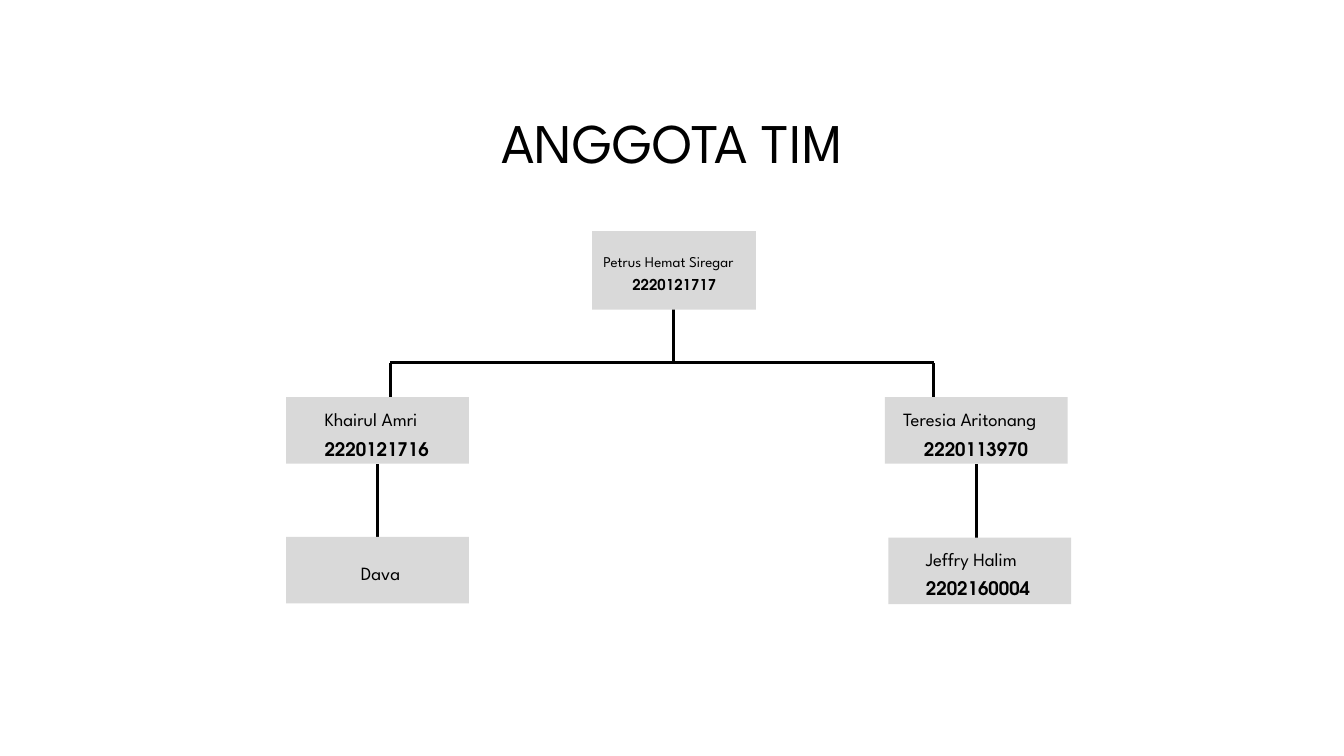
from lxml import etree
from pptx import Presentation
from pptx.dml.color import RGBColor
from pptx.enum.shapes import MSO_CONNECTOR, MSO_SHAPE
from pptx.enum.text import MSO_ANCHOR, MSO_AUTO_SIZE, PP_ALIGN
from pptx.oxml.ns import qn
from pptx.util import Pt

PX = 4572
RECTANGLE = MSO_SHAPE.RECTANGLE
STRAIGHT = MSO_CONNECTOR.STRAIGHT
TOP, MIDDLE = MSO_ANCHOR.TOP, MSO_ANCHOR.MIDDLE
LEFT, CENTER = PP_ALIGN.LEFT, PP_ALIGN.CENTER
NO_AUTOSIZE = MSO_AUTO_SIZE.NONE
NAME_FONT, NUMBER_FONT = "League Spartan", "TeX Gyre Adventor"
COLORS = {"text": "000000", "line": "000000", "card": "D9D9D9", "background": "FFFFFF"}
PADDING = 28
CARD_WIDTH, CARD_HEIGHT = 272, 99
BRANCH_Y = 540

MEMBERS = [
    dict(box=(881, 344, 244, 117), label_box=(-11, 11, 336, 94),
         lines=["Petrus Hemat Siregar", "2220121717"], size=8, number_indent=43),
    dict(box=(426, 591, CARD_WIDTH, CARD_HEIGHT), label_box=(29, 1, 272, 98),
         lines=["Khairul Amri", "2220121716"]),
    dict(box=(1317, 591, CARD_WIDTH, CARD_HEIGHT), label_box=(-1, 3, 294, 94),
         lines=["Teresia Aritonang", "2220113970"], number_indent=31),
    dict(box=(426, 799, CARD_WIDTH, CARD_HEIGHT), label_box=(83, 14, 192, 96),
         lines=["Dava"], extra_bottom=26),
    dict(box=(1322, 800, CARD_WIDTH, CARD_HEIGHT), label_box=(28, 6, 252, 86),
         lines=["Jeffry Halim", "2202160004"]),
]
CONNECTORS = [
    (581, 622, 581, BRANCH_Y),
    (1389, 622, 1389, BRANCH_Y),
    (562, 801, 562, 690),
    (1453, 801, 1453, 690),
    (1390, BRANCH_Y, 580, BRANCH_Y),
    (1002, BRANCH_Y, 1002, 460),
]


def color(name):
    return RGBColor.from_string(COLORS[name])


def scaled(lengths):
    return [length * PX for length in lengths]


def format_frame(text_frame, anchor, padding, extra_bottom=0):
    text_frame.word_wrap = True
    text_frame.auto_size = NO_AUTOSIZE
    text_frame.vertical_anchor = anchor
    text_frame.margin_left = text_frame.margin_right = padding * PX
    text_frame.margin_top = padding * PX
    text_frame.margin_bottom = (padding + extra_bottom) * PX


def format_paragraph(paragraph, font_name, size, spacing, alignment=LEFT, bold=False):
    paragraph.line_spacing = spacing
    paragraph.alignment = alignment
    for run in paragraph.runs:
        run.font.name = font_name
        run.font.size = Pt(size)
        run.font.bold = bold
        run.font.color.rgb = color("text")


def place_title(slide, box, text):
    title = slide.shapes.title
    title.left, title.top, title.width, title.height = scaled(box)
    title.text_frame.text = text
    format_frame(title.text_frame, TOP, 0)
    format_paragraph(title.text_frame.paragraphs[0], NAME_FONT, 30, 1.4, CENTER)


def add_member(slide, box, label_box, lines, size=10, number_indent=0, extra_bottom=0):
    card = slide.shapes.add_shape(RECTANGLE, *scaled(box))
    card.shadow.inherit = False
    card.fill.solid()
    card.fill.fore_color.rgb = color("card")
    card.line.fill.background()

    left, top, width, height = label_box
    label = slide.shapes.add_textbox(*scaled((box[0] + left, box[1] + top, width, height)))
    text_frame = label.text_frame
    text_frame.text = "\n".join(lines)
    format_frame(text_frame, MIDDLE, PADDING, extra_bottom)
    name, *numbers = text_frame.paragraphs
    format_paragraph(name, NAME_FONT, size, 1.3)
    for number in numbers:
        format_paragraph(number, NUMBER_FONT, size, 1.3, bold=True)
        number._p.get_or_add_pPr().set("marL", str(number_indent * PX))


def add_line(slide, ends):
    connector = slide.shapes.add_connector(STRAIGHT, *scaled(ends))
    connector.line.color.rgb = color("line")
    connector.line.width = Pt(1.5)
    etree.SubElement(connector._element.spPr, qn("a:effectLst"))


def build_team_slide(presentation):
    slide = presentation.slides.add_slide(presentation.slide_layouts[5])
    slide.background.fill.solid()
    slide.background.fill.fore_color.rgb = color("background")
    place_title(slide, (364, 120, 1273, 142), "ANGGOTA TIM")
    for ends in CONNECTORS:
        add_line(slide, ends)
    for member in MEMBERS:
        add_member(slide, **member)


def main():
    presentation = Presentation()
    presentation.slide_width, presentation.slide_height = scaled((2000, 1125))
    build_team_slide(presentation)
    presentation.save("out.pptx")


if __name__ == "__main__":
    main()
